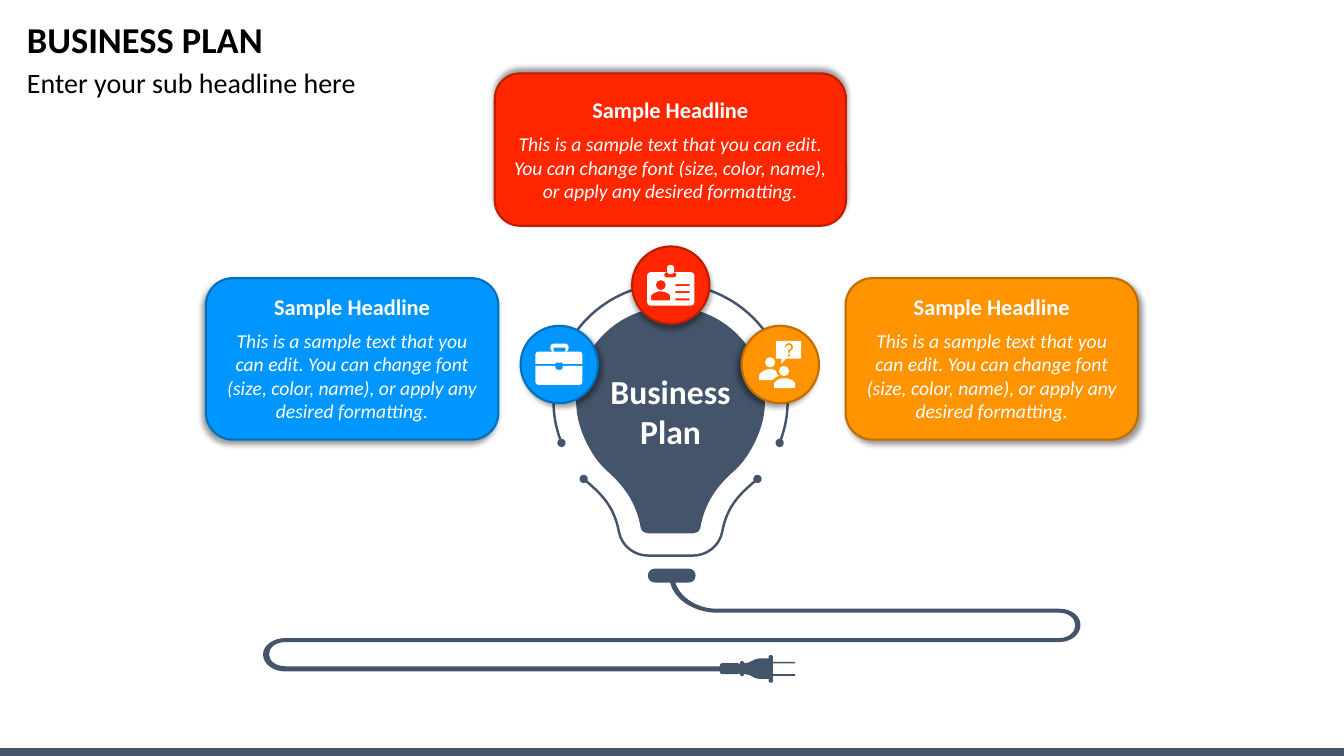
from lxml import etree
from pptx import Presentation
from pptx.dml.color import RGBColor
from pptx.enum.shapes import MSO_SHAPE
from pptx.enum.text import MSO_ANCHOR, PP_ALIGN
from pptx.oxml.ns import qn
from pptx.util import Cm, Pt

RECT, ROUND, OVAL = MSO_SHAPE.RECTANGLE, MSO_SHAPE.ROUNDED_RECTANGLE, MSO_SHAPE.OVAL
LEFT, CENTER = PP_ALIGN.LEFT, PP_ALIGN.CENTER
TOP, MIDDLE = MSO_ANCHOR.TOP, MSO_ANCHOR.MIDDLE

THEME = {
    "font": "Calibri",
    "slate": "44546A", "white": "FFFFFF", "black": "000000",
    "blue": "0096FF", "navy": "0070BF",
    "orange": "FF9300", "brown": "BF6E00",
    "red": "FF2600", "maroon": "BF1D00",
    "title": 26, "bulb": 24, "sub": 20, "head": 16, "body": 14,
    "edge": 1.5, "wire": 1.75,
}

deck = Presentation()
deck.slide_width, deck.slide_height = Cm(33.87), Cm(19.05)
slide = deck.slides.add_slide(deck.slide_layouts[6])
shapes = slide.shapes


def pod(x, y, w, h, r=0):
    a, b, k = x + w, y + h, r * 0.45
    if not r:
        return [(x, y), (a, y), (a, b), (x, b)]
    return [(x + r, y), (a - r, y), (a - k, y, a, y + k, a, y + r),
            (a, b - r), (a, b - k, a - k, b, a - r, b),
            (x + r, b), (x + k, b, x, b - k, x, b - r),
            (x, y + r), (x, y + k, x + k, y, x + r, y)]


def draw(loops, color, wire=False):
    pen = shapes.build_freeform(*map(Cm, loops[0][0]))
    for i, loop in enumerate(loops):
        if i:
            pen.move_to(*map(Cm, loop[0]))
        dots = [(Cm(step[j]), Cm(step[j + 1])) for step in loop[1:] for j in range(0, len(step), 2)]
        pen.add_line_segments(dots, close=not wire)
    form = pen.convert_to_shape()
    form.shadow.inherit = False
    legs = iter(list(form._element.iter(qn("a:lnTo"))))
    for step in (step for loop in loops for step in loop[1:]):
        leg = next(legs)
        if len(step) == 6:
            bend = etree.Element(qn("a:cubicBezTo"))
            leg.getparent().replace(leg, bend)
            for part in (leg, next(legs), next(legs)):
                bend.append(part[0])
                if part is not leg:
                    part.getparent().remove(part)
    ink = RGBColor.from_string(THEME[color])
    if wire:
        form.fill.background()
        form.line.color.rgb = ink
        form.line.width = Pt(THEME["wire"])
        for tag in ("a:headEnd", "a:tailEnd"):
            etree.SubElement(form.line._get_or_add_ln(), qn(tag), type="oval")
    else:
        form.fill.solid()
        form.fill.fore_color.rgb = ink
        form.line.fill.background()


mid = 16.9
ring = [(14.15, 11.16), (14.02, 10.82), (13.95, 10.47), (13.95, 10.1),
        (13.95, 8.47), (15.27, 7.15), (mid, 7.15)]
neck = [(14.71, 12.07), (15.1, 12.4), (15.48, 12.75), (15.6, 13.41),
        (15.67, 13.77), (16, 14), (16.33, 14), (16.5, 14), (16.7, 14), (mid, 14)]
bulb = [(mid, 7.73), (15.59, 7.73), (14.52, 8.79), (14.52, 10.1),
        (14.52, 10.55), (14.66, 10.95), (14.87, 11.32),
        (15, 11.55), (15.12, 11.7), (15.29, 11.86),
        (15.7, 12.22), (16.04, 12.65), (16.15, 13.31),
        (16.18, 13.4), (16.25, 13.44), (16.33, 13.44), (16.5, 13.44), (16.7, 13.44), (mid, 13.44)]
for half, wire in ((ring, True), (neck, True), (bulb, False)):
    dots = half + [(2 * mid - x, y) for x, y in half[-2::-1]]
    draw([dots[:1] + [sum(dots[i:i + 3], ()) for i in range(1, len(dots), 3)]], "slate", wire)

cable = [(16.89, 14.68), (16.99, 15.11, 17.5, 15.44, 18.08, 15.44), (26.7, 15.44),
         (26.92, 15.44, 27.1, 15.58, 27.1, 15.76), (27.1, 15.93, 26.92, 16.08, 26.7, 16.08),
         (7.19, 16.08), (6.88, 16.08, 6.63, 16.27, 6.63, 16.49),
         (6.63, 16.73, 6.88, 16.92, 7.19, 16.92), (18.14, 16.92), (18.14, 16.79), (7.19, 16.79),
         (6.96, 16.79, 6.78, 16.66, 6.78, 16.49), (6.78, 16.31, 6.96, 16.18, 7.19, 16.18),
         (26.7, 16.18), (27, 16.18, 27.23, 15.98, 27.23, 15.75),
         (27.23, 15.52, 27, 15.34, 26.7, 15.34), (18.08, 15.34),
         (17.57, 15.34, 17.14, 15.06, 17.02, 14.68)]
plug = [(18.75, 16.71), (18.95, 16.71, 18.98, 16.59, 19.15, 16.59), (19.37, 16.59),
        (19.37, 17.11), (19.15, 17.11), (18.98, 17.11, 18.95, 16.99, 18.75, 16.99)]
draw([pod(16.33, 14.33, 1.2, 0.35, 0.17), cable, pod(18.14, 16.71, 0.51, 0.28, 0.06),
      pod(18.65, 16.66, 0.1, 0.38, 0.03), plug, pod(19.37, 16.51, 0.11, 0.69, 0.03),
      pod(19.48, 16.68, 0.56, 0.04), pod(19.48, 16.99, 0.56, 0.04)], "slate")

cards = [
    ((13.12, 8.21, 45), (5.19, 7.01, 7.37, 4.07, 135), 0.14, 0.25, "blue", "navy"),
    ((18.69, 8.21, 135), (21.31, 7.01, 7.37, 4.07, 45), 0.14, 0.25, "orange", "brown"),
    ((15.93, 6.21, 90), (12.47, 1.85, 8.85, 3.84, 270), 0.2, 0.45, "red", "maroon"),
]
texts = [
    (0.43, 0.43, 33, 1.22, "BUSINESS PLAN", "title", "black", "bold", LEFT, MIDDLE),
    (0.43, 1.63, 33, 1.63, "Enter your sub headline here", "sub", "black", None, LEFT, TOP),
    (15.07, 9.22, 3.66, 2.31, "Business Plan", "bulb", "white", "bold", CENTER, TOP),
]
note = ("This is a sample text that you can edit. You can change font (size, color, name), "
        "or apply any desired formatting.")
parts = [(RECT, -0.03, 18.85, 33.91, 0.23, "slate")]
for (cx, cy, turn), (x, y, w, h, angle), pad, drop, fill, edge in cards:
    parts += [(OVAL, cx, cy, 1.95, 1.95, fill, edge, turn),
              (ROUND, x, y, w, h, fill, edge, angle)]
    texts += [(x, y + drop, w, 0.94, "Sample Headline", "head", "white", "bold", CENTER, TOP),
              (x + pad, y + drop + 0.9, w - 2 * pad, 2.64, note, "body", "white", "italic", CENTER, TOP)]

for kind, x, y, w, h, fill, *rim in parts:
    part = shapes.add_shape(kind, Cm(x), Cm(y), Cm(w), Cm(h))
    part.shadow.inherit = False
    part.fill.solid()
    part.fill.fore_color.rgb = RGBColor.from_string(THEME[fill])
    if not rim:
        part.line.fill.background()
        continue
    edge, angle = rim
    part.line.color.rgb = RGBColor.from_string(THEME[edge])
    part.line.width = Pt(THEME["edge"])
    glow = etree.SubElement(part._element.spPr.find(qn("a:effectLst")), qn("a:outerShdw"),
                            blurRad=str(Pt(4)), dist=str(Pt(3)), dir=str(angle * 60000),
                            algn="ctr", rotWithShape="0")
    tint = etree.SubElement(glow, qn("a:srgbClr"), val=THEME["black"])
    etree.SubElement(tint, qn("a:alpha"), val="40000")

lid = [(13.49, 9.17), (13.49, 8.94), (13.49, 8.89, 13.53, 8.86, 13.57, 8.86), (14.6, 8.86),
       (14.65, 8.86, 14.68, 8.89, 14.68, 8.94), (14.68, 9.17), (14.18, 9.17), (14.18, 9.14),
       (14, 9.14), (14, 9.17)]
case = [(13.49, 9.22), (14, 9.22), (14, 9.27), (14, 9.3, 14.02, 9.32, 14.07, 9.32), (14.11, 9.32),
        (14.16, 9.32, 14.18, 9.3, 14.18, 9.27), (14.18, 9.22), (14.68, 9.22), (14.68, 9.62),
        (14.68, 9.67, 14.65, 9.7, 14.6, 9.7), (13.57, 9.7), (13.53, 9.7, 13.49, 9.67, 13.49, 9.62)]
draw([lid, case, pod(13.87, 8.66, 0.46, 0.2, 0.08), pod(13.95, 8.76, 0.3, 0.1)], "white")

bust = [(16.41, 7.57), (16.41, 7.44), (16.48, 7.37, 16.58, 7.34, 16.65, 7.34),
        (16.73, 7.34, 16.82, 7.37, 16.89, 7.44), (16.89, 7.57)]
draw([pod(16.31, 6.86, 1.19, 0.84, 0.08), pod(16.74, 6.86, 0.31, 0.13, 0.06),
      pod(16.81, 6.68, 0.18, 0.23, 0.05), pod(16.53, 7.06, 0.25, 0.25, 0.12), bust]
     + [pod(17.02, 7.16 + 0.18 * i, 0.36, 0.05) for i in range(3)], "white")

guest = [(19.13, 9.58), (19.13, 9.45), (19.2, 9.35, 19.3, 9.3, 19.41, 9.3),
         (19.48, 9.3, 19.53, 9.32, 19.56, 9.35), (19.56, 9.42, 19.6, 9.46, 19.63, 9.47),
         (19.57, 9.5, 19.5, 9.53, 19.46, 9.58)]
host = [(19.51, 9.78), (19.51, 9.65), (19.58, 9.56, 19.68, 9.53, 19.77, 9.53),
        (19.87, 9.53, 19.97, 9.56, 20.04, 9.65), (20.04, 9.78)]
talk = [(19.56, 8.59), (20.19, 8.59), (20.19, 9.04), (19.81, 9.04), (19.69, 9.17),
        (19.69, 9.04), (19.56, 9.04)]
query = [(19.86, 8.89), (19.86, 8.81), (19.89, 8.81), (19.92, 8.81, 19.94, 8.78, 19.94, 8.75),
         (19.94, 8.71, 19.91, 8.69, 19.88, 8.69), (19.84, 8.69, 19.81, 8.72, 19.81, 8.76),
         (19.78, 8.76), (19.78, 8.69, 19.82, 8.64, 19.88, 8.64),
         (19.95, 8.64, 19.99, 8.69, 19.99, 8.75), (19.99, 8.8, 19.95, 8.84, 19.91, 8.85), (19.91, 8.89)]
draw([guest, host, talk, query, pod(19.85, 8.92, 0.07, 0.07, 0.03),
      pod(19.28, 9, 0.26, 0.26, 0.13), pod(19.63, 9.22, 0.26, 0.26, 0.13)], "white")

for x, y, w, h, words, size, color, style, align, anchor in texts:
    frame = shapes.add_textbox(Cm(x), Cm(y), Cm(w), Cm(h)).text_frame
    frame.word_wrap, frame.vertical_anchor = True, anchor
    line = frame.paragraphs[0]
    line.alignment = align
    line.line_spacing = 0.9 if align == LEFT else 1.0
    run = line.add_run()
    run.text = words
    look = {"name": THEME["font"], "size": Pt(THEME[size]),
            "bold": style == "bold", "italic": style == "italic"}
    for key, value in look.items():
        setattr(run.font, key, value)
    run.font.color.rgb = RGBColor.from_string(THEME[color])

deck.save("out.pptx")
